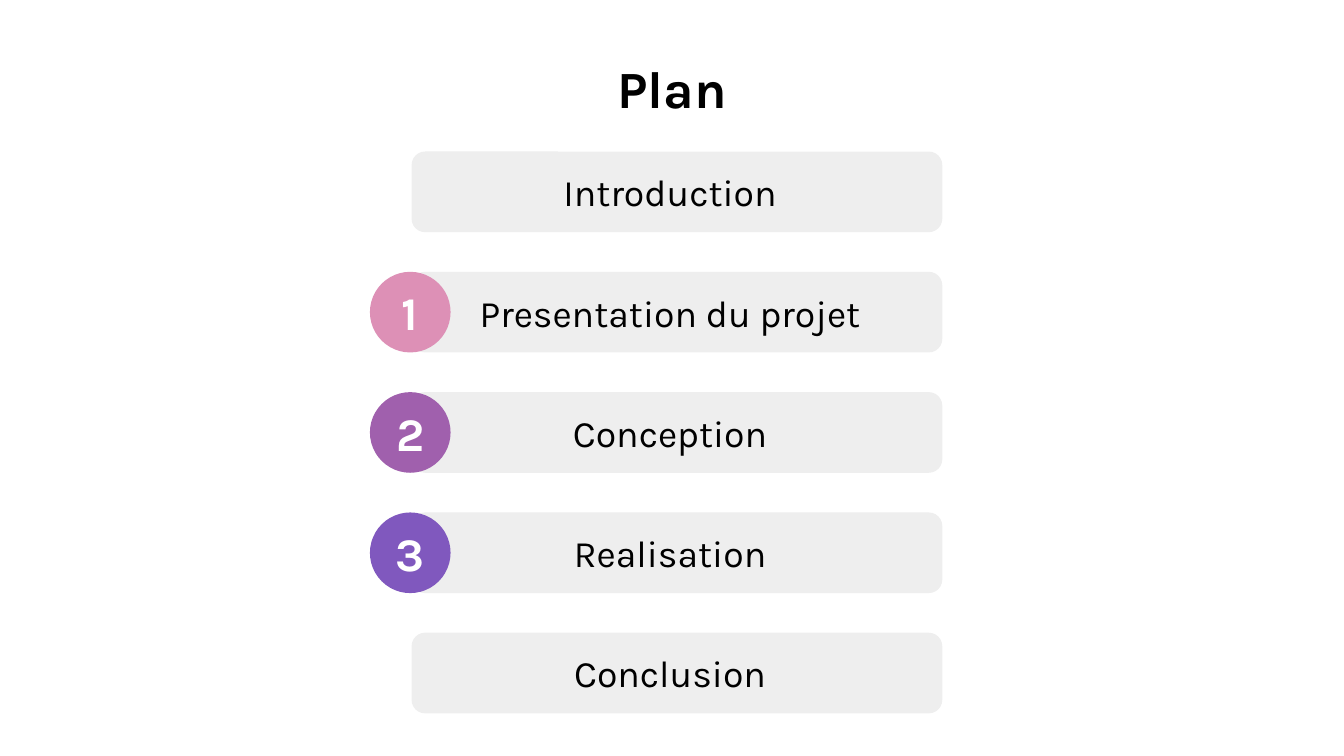
from pptx import Presentation
from pptx.dml.color import RGBColor
from pptx.enum.shapes import MSO_SHAPE
from pptx.enum.text import MSO_ANCHOR, PP_ALIGN
from pptx.util import Pt

ROUNDED = MSO_SHAPE.ROUNDED_RECTANGLE
OVAL = MSO_SHAPE.OVAL
TOP = MSO_ANCHOR.TOP
MIDDLE = MSO_ANCHOR.MIDDLE
CENTER = PP_ALIGN.CENTER

FONT = "Karla"
BLACK, WHITE, GREY = "000000", "FFFFFF", "EEEEEE"
ROWS = [
    ("Introduction", None, None),
    ("Presentation du projet", "1", "DD90B6"),
    ("Conception", "2", "A060AD"),
    ("Realisation", "3", "8058BE"),
    ("Conclusion", None, None),
]


def rgb(value):
    return RGBColor.from_string(value)


def write(sp, text, size, color, bold=False, anchor=MIDDLE, left=7.2, right=7.2):
    tf = sp.text_frame
    tf.word_wrap = True
    tf.vertical_anchor = anchor
    tf.margin_left, tf.margin_right = Pt(left), Pt(right)
    tf.margin_top = tf.margin_bottom = Pt(7.2)
    p = tf.paragraphs[0]
    p.alignment = CENTER
    r = p.add_run()
    r.text = text
    r.font.name = FONT
    r.font.size = Pt(size)
    r.font.bold = bold
    r.font.color.rgb = rgb(color)


def add_filled(s, kind, x, y, w, h, fill):
    sp = s.shapes.add_shape(kind, Pt(x), Pt(y), Pt(w), Pt(h))
    sp.shadow.inherit = False
    sp.fill.solid()
    sp.fill.fore_color.rgb = rgb(fill)
    sp.line.fill.background()
    return sp


def add_title(s, x, y, w, h, text):
    sp = s.shapes.add_textbox(Pt(x), Pt(y), Pt(w), Pt(h))
    write(sp, text, 28, BLACK, bold=True, anchor=TOP)


def add_row(s, x, y, w, h, label, number, color):
    indent = 22.3
    bar = add_filled(s, ROUNDED, x + indent, y, w - indent, h, GREY)
    bar.adjustments[0] = 0.167
    write(bar, label, 20, BLACK, left=14.4, right=21.6)
    if number:
        badge = add_filled(s, OVAL, x, y, h, h, color)
        write(badge, number, 25, WHITE, bold=True)


def add_plan(s, x, y, w, h, rows):
    row_h = 43.2
    pitch = (h - row_h) / (len(rows) - 1)
    for i, row in enumerate(rows):
        add_row(s, x, y + i * pitch, w, row_h, *row)


def main():
    prs = Presentation()
    prs.slide_width, prs.slide_height = Pt(720), Pt(405)
    s = prs.slides.add_slide(prs.slide_layouts[6])
    s.background.fill.solid()
    s.background.fill.fore_color.rgb = rgb(WHITE)
    add_title(s, 36, 23, 648, 45.4, "Plan")
    add_plan(s, 198.2, 81.2, 306.6, 301, ROWS)
    prs.save("out.pptx")


if __name__ == "__main__":
    main()
